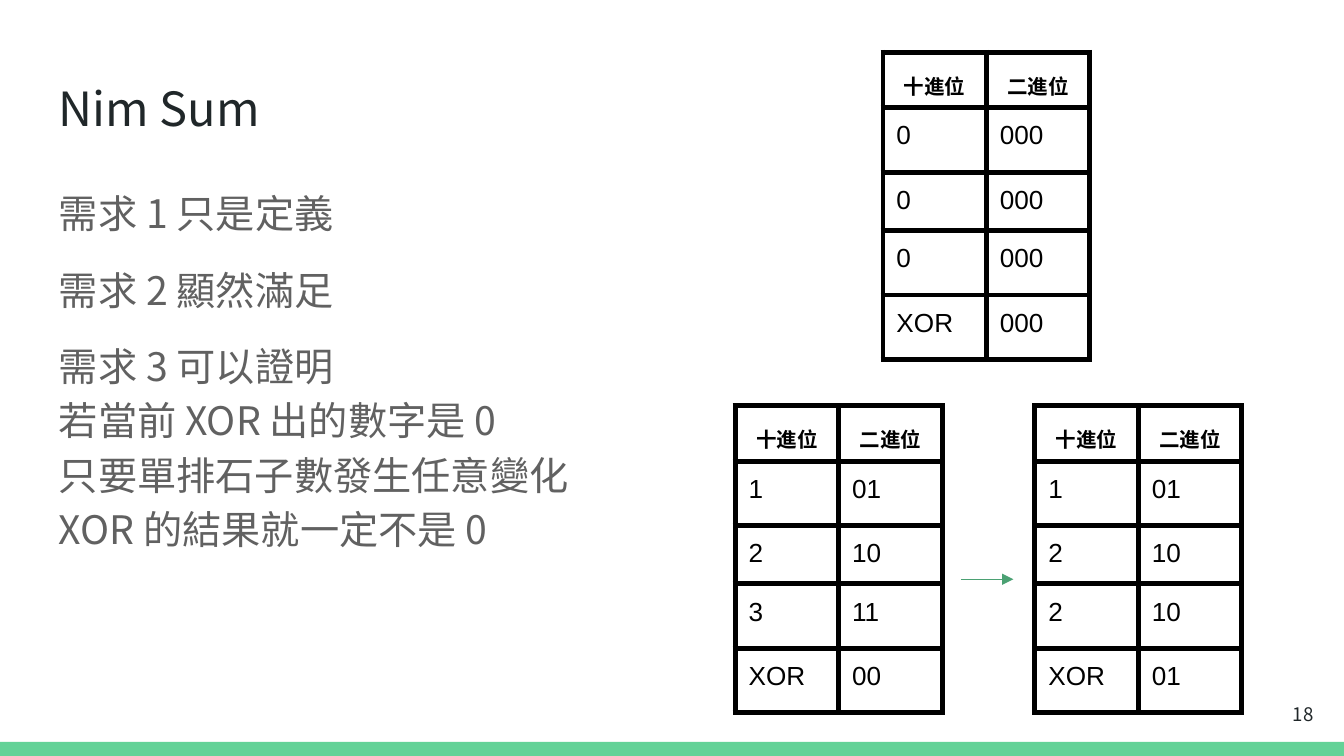
from lxml import etree
from pptx import Presentation
from pptx.dml.color import RGBColor
from pptx.enum.shapes import MSO_CONNECTOR, MSO_SHAPE
from pptx.enum.text import MSO_ANCHOR, PP_ALIGN
from pptx.oxml.ns import qn
from pptx.util import Inches, Pt

LEFT, CENTER, RIGHT = PP_ALIGN.LEFT, PP_ALIGN.CENTER, PP_ALIGN.RIGHT
TOP, MIDDLE = MSO_ANCHOR.TOP, MSO_ANCHOR.MIDDLE
RECTANGLE = MSO_SHAPE.RECTANGLE
STRAIGHT = MSO_CONNECTOR.STRAIGHT

SANS, ARIAL = "Noto Sans CJK TC", "Arial"
INK, GRAY, BLACK = "202729", "616161", "000000"
GREEN, ARROW_GREEN = "63D297", "4BA173"

COLUMN_WIDTH = 0.77
ROW_HEIGHTS = [0.29, 0.48, 0.31, 0.48, 0.48]
CELL_MARGIN = 0.1
HEADINGS = ("十進位", "二進位")

REQUIREMENTS = [
    "需求 1 只是定義",
    "需求 2 顯然滿足",
    "需求 3 可以證明\v若當前 XOR 出的數字是 0\v"
    "只要單排石子數發生任意變化\vXOR 的結果就一定不是 0",
]


def color(hex_string):
    return RGBColor.from_string(hex_string)


def write(paragraph, text, *, size, font=SANS, fill=INK, bold=False,
          align=LEFT, spacing=None, before=0, after=0):
    """Put formatted text in a paragraph; \\v makes a line break."""
    paragraph.text = text
    paragraph.alignment = align
    paragraph.line_spacing = spacing
    paragraph.space_before, paragraph.space_after = Pt(before), Pt(after)
    for run in paragraph.runs:
        run.font.name, run.font.size, run.font.bold = font, Pt(size), bold
        run.font.color.rgb = color(fill)
        if font == SANS:
            for script in ("a:ea", "a:cs"):
                etree.SubElement(run.font._element, qn(script), typeface=font)


def add_frame(slide, box, anchor=TOP):
    frame = slide.shapes.add_textbox(*map(Inches, box)).text_frame
    frame.word_wrap = True
    frame.vertical_anchor = anchor
    frame.margin_left = frame.margin_right = Inches(0.1)
    frame.margin_top = frame.margin_bottom = Inches(0.1)
    return frame


def add_footer_bar(slide, box):
    bar = slide.shapes.add_shape(RECTANGLE, *map(Inches, box))
    bar.shadow.inherit = False
    bar.fill.solid()
    bar.fill.fore_color.rgb = color(GREEN)
    bar.line.fill.background()


def add_title(slide, box):
    write(add_frame(slide, box).paragraphs[0], "Nim Sum", size=25.2)


def add_requirements(slide, box):
    frame = add_frame(slide, box)
    for i, requirement in enumerate(REQUIREMENTS):
        paragraph = frame.add_paragraph() if i else frame.paragraphs[0]
        write(paragraph, requirement, size=21, fill=GRAY, spacing=1.15,
              before=12 if i else 0,
              after=12 if requirement == REQUIREMENTS[-1] else 0)


def add_page_number(slide, box):
    write(add_frame(slide, box, MIDDLE).paragraphs[0], "18", size=10, align=RIGHT)


def set_borders(cell, width):
    properties = cell._tc.get_or_add_tcPr()
    for i, side in enumerate(("a:lnL", "a:lnR", "a:lnT", "a:lnB")):
        line = etree.Element(qn(side), w=str(Pt(width)))
        fill = etree.SubElement(line, qn("a:solidFill"))
        etree.SubElement(fill, qn("a:srgbClr"), val=BLACK)
        properties.insert(i, line)


def add_nim_table(slide, left, top, rows):
    """Pile sizes in decimal and binary, with their XOR in the last row."""
    frame = slide.shapes.add_table(
        len(ROW_HEIGHTS), len(HEADINGS), Inches(left), Inches(top),
        Inches(COLUMN_WIDTH * len(HEADINGS)), Inches(sum(ROW_HEIGHTS)))
    table = frame.table
    table.horz_banding = False
    for column in table.columns:
        column.width = Inches(COLUMN_WIDTH)
    for row, height in zip(table.rows, ROW_HEIGHTS):
        row.height = Inches(height)

    for r, values in enumerate([HEADINGS, *rows]):
        style = (dict(size=14) if r else
                 dict(size=11, bold=True, align=CENTER, spacing=1.15))
        for c, value in enumerate(values):
            cell = table.cell(r, c)
            cell.fill.background()
            cell.margin_left = cell.margin_right = Inches(CELL_MARGIN)
            cell.margin_top = cell.margin_bottom = Inches(CELL_MARGIN)
            set_borders(cell, 3)
            write(cell.text_frame.paragraphs[0], value,
                  font=ARIAL, fill=BLACK, **style)


def add_arrow(slide, left, top, width):
    arrow = slide.shapes.add_connector(
        STRAIGHT, Inches(left), Inches(top), Inches(left + width), Inches(top))
    arrow.line.color.rgb = color(ARROW_GREEN)
    arrow.line.width = Pt(0.75)
    etree.SubElement(arrow.line._get_or_add_ln(), qn("a:tailEnd"), type="triangle")
    etree.SubElement(arrow._element.spPr, qn("a:effectLst"))


def add_move(slide, left, top):
    """A balanced position and the position after one move."""
    add_nim_table(slide, left, top,
                  [("1", "01"), ("2", "10"), ("3", "11"), ("XOR", "00")])
    add_nim_table(slide, left + 2.23, top,
                  [("1", "01"), ("2", "10"), ("2", "10"), ("XOR", "01")])
    add_arrow(slide, left + 1.68, top + 1.29, 0.39)


def main():
    presentation = Presentation()
    # Widescreen, 16:9
    presentation.slide_width = Inches(10)
    presentation.slide_height = Inches(10 * 9 / 16)
    slide = presentation.slides.add_slide(presentation.slide_layouts[6])

    # Frame and text column
    add_footer_bar(slide, (0, 5.52, 10, 0.11))
    add_title(slide, (0.34, 0.49, 9.32, 0.63))
    add_requirements(slide, (0.34, 1.26, 9.32, 3.74))

    # Final position above, one move below
    add_nim_table(slide, 6.57, 0.39, [("0", "000")] * 3 + [("XOR", "000")])
    add_move(slide, 5.47, 3.02)

    add_page_number(slide, (9.27, 5.1, 0.6, 0.43))
    presentation.save("out.pptx")


if __name__ == "__main__":
    main()
